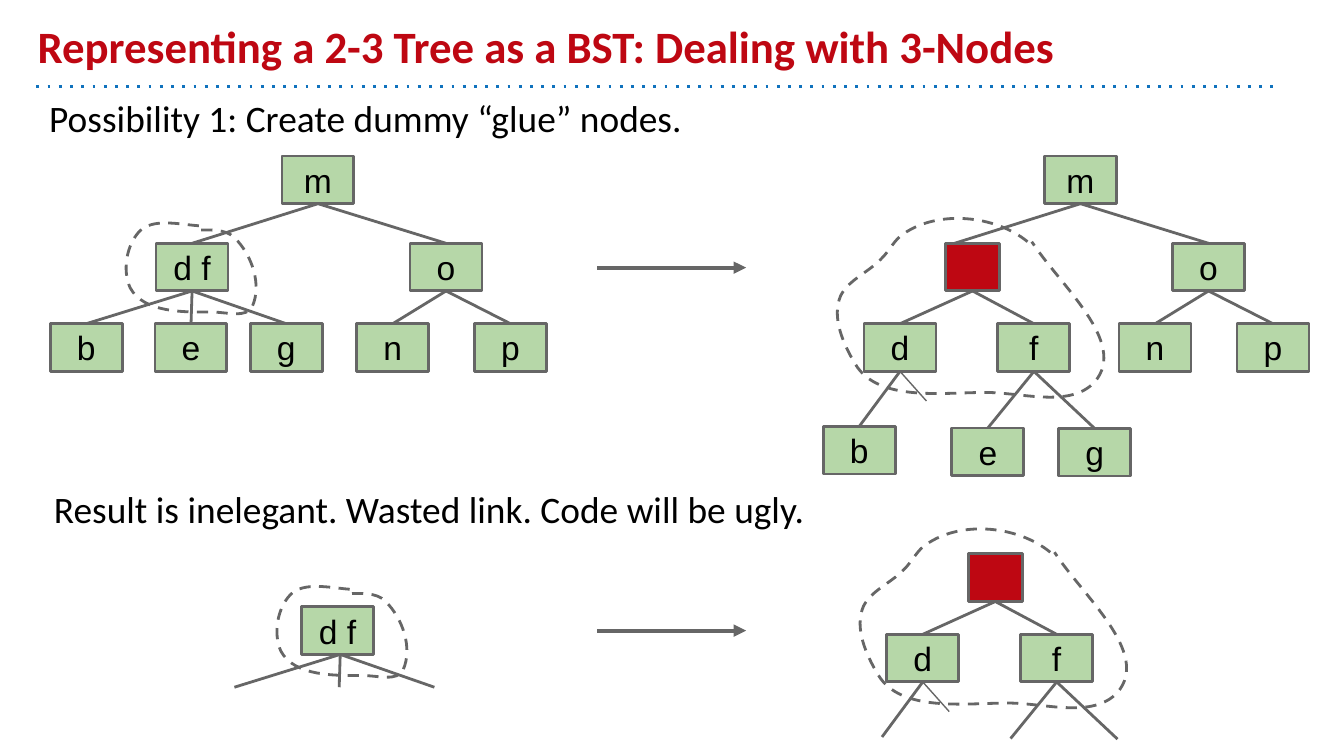
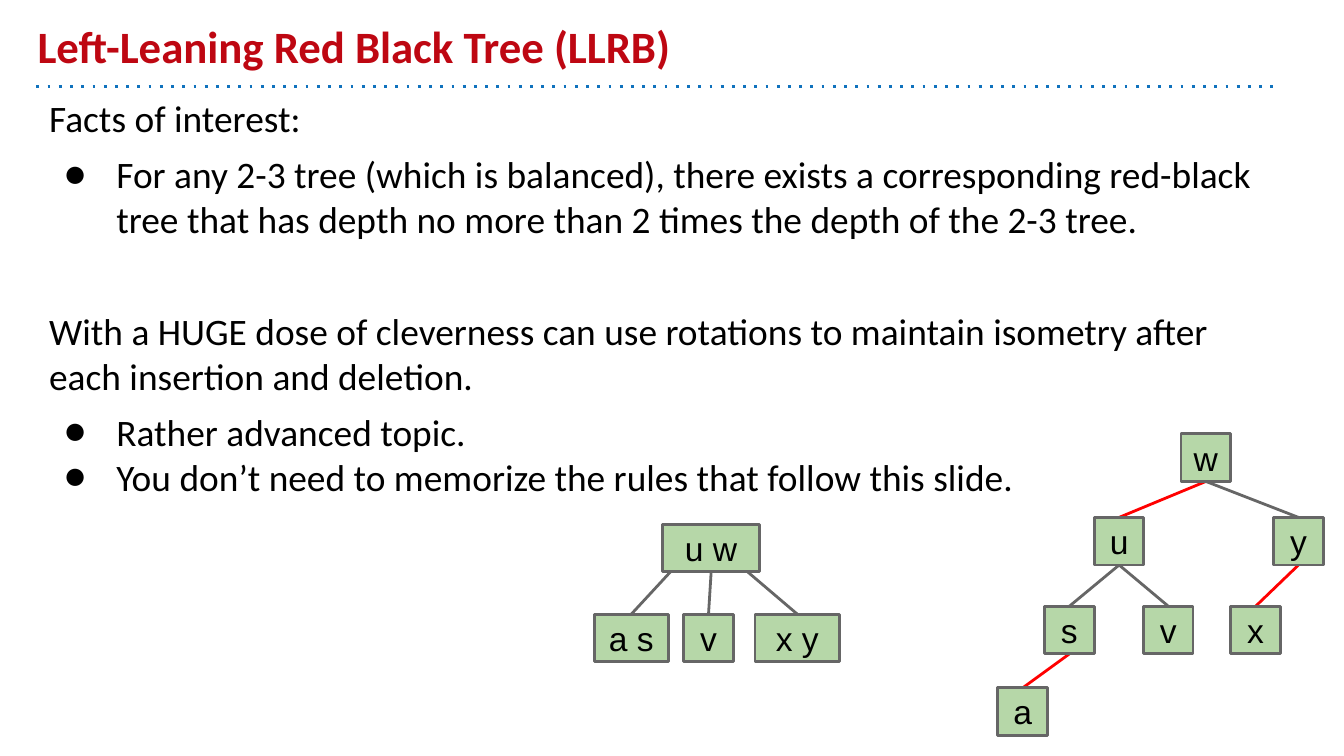
from lxml import etree
from pptx import Presentation
from pptx.dml.color import RGBColor
from pptx.enum import dml, shapes, text
from pptx.oxml import ns
from pptx.util import Cm, Pt

CRIMSON = RGBColor(0xBE, 0x07, 0x12)
BLUE = RGBColor(0x10, 0x72, 0xBD)
GREEN = RGBColor(0xB6, 0xD7, 0xA8)
GRAY = RGBColor(0x66, 0x66, 0x66)
RED = RGBColor(0xFF, 0, 0)
BLACK = RGBColor(0, 0, 0)

INSET = 0.25
HIGH = 0.9     # node height
WIDE = 1.36    # usual node width
SLIM = 0.94    # node width for one key
ROWS = 0, 1.65, 3.17

# Dashed outlines relative to the top centre of a node:
# left, top, right and bottom edge, then the points of the cubic curves
LOOP = (-1.24, -0.38, 1.22, 1.35), [
    (0.13, -0.33), (-0.25, -0.36), (-0.74, -0.48), (-0.99, -0.23),
    (-1.24, 0.03), (-1.32, 0.51), (-1.17, 0.84),
    (-0.91, 1.32), (-0.15, 1.3), (0.38, 1.3),
    (0.66, 1.3), (1.04, 1.42), (1.14, 1.19),
    (1.32, 0.79), (1.14, 0.23), (0.81, -0.1),
    (0.64, -0.28), (0.33, -0.25), (0.05, -0.25),
]
CLOUD = (-2.57, -0.48, 2.46, 2.9), [
    (1.04, -0.03), (0.43, -0.53), (-0.64, -0.64), (-1.3, -0.18),
    (-1.47, -0.08), (-1.57, 0.15), (-1.73, 0.3),
    (-1.98, 0.56), (-2.34, 0.69), (-2.49, 0.99),
    (-2.67, 1.4), (-2.44, 1.91), (-2.21, 2.29),
    (-1.78, 3), (-0.58, 2.82), (0.25, 2.82),
    (0.94, 2.82), (1.85, 3.12), (2.31, 2.62),
    (2.95, 1.88), (1.65, 0.79), (1.12, -0.03),
]


# Basic parts
def link(slide, start, end, color=GRAY, width=1.5, dash=None, arrow=False):
    line = slide.shapes.add_connector(
        shapes.MSO_CONNECTOR.STRAIGHT, *map(Cm, (*start, *end)))
    line.line.color.rgb = color
    line.line.width = Pt(width)
    props = line.element.spPr
    stroke = props.find(ns.qn("a:ln"))
    if dash:
        etree.SubElement(stroke, ns.qn("a:prstDash"), val=dash)
    if arrow:
        etree.SubElement(stroke, ns.qn("a:tailEnd"), type="triangle")
    etree.SubElement(props, ns.qn("a:effectLst"))


def pad(frame):
    frame.margin_left = frame.margin_right = Cm(INSET)
    frame.margin_top = frame.margin_bottom = Cm(INSET)


def style(font, size, name, color, bold=False):
    font.size, font.name, font.bold = Pt(size), name, bold
    font.color.rgb = color


def node(slide, mid, top, label="", wide=WIDE, fill=GREEN):
    box = slide.shapes.add_shape(
        shapes.MSO_SHAPE.RECTANGLE, Cm(mid - wide / 2), Cm(top), Cm(wide), Cm(HIGH))
    box.shadow.inherit = False
    box.fill.solid()
    box.fill.fore_color.rgb = fill
    box.line.color.rgb = GRAY
    box.line.width = Pt(1.5)
    if label:
        frame = box.text_frame
        pad(frame)
        frame.word_wrap = False
        frame.vertical_anchor = text.MSO_ANCHOR.MIDDLE
        frame.text = label
        para = frame.paragraphs[0]
        para.alignment = text.PP_ALIGN.CENTER
        style(para.runs[0].font, 18, "Arial", BLACK)


def outline(slide, mid, top, ring):
    (left, high, right, low), curve = ring
    pen = slide.shapes.build_freeform(Cm(mid + left), Cm(top + high))
    pen.add_line_segments([(Cm(mid + right), Cm(top + low))], close=False)
    shape = pen.convert_to_shape()
    # Fill the framed path with cubic curves
    trace = next(shape.element.iter(ns.qn("a:path")))
    for step in list(trace):
        trace.remove(step)
    step = etree.SubElement(trace, ns.qn("a:moveTo"))
    for i, (x, y) in enumerate(curve):
        if i % 3 == 1:
            step = etree.SubElement(trace, ns.qn("a:cubicBezTo"))
        etree.SubElement(step, ns.qn("a:pt"),
                         x=str(Cm(x - left)), y=str(Cm(y - high)))
    shape.shadow.inherit = False
    shape.fill.background()
    shape.line.color.rgb = GRAY
    shape.line.width = Pt(1.5)
    shape.line.dash_style = dml.MSO_LINE.DASH


def graph(slide, left, top, nodes, edges, hide="", reds=""):
    """Draw nodes {key: (mid, top, width)} and edges (parent, child, shift)."""
    for up, down, shift in edges:
        (x, y, _), (end, low, _) = nodes[up], nodes[down]
        link(slide, (left + x + shift, top + y + HIGH), (left + end, top + low),
             RED if down in reds else GRAY)
    for key, (x, y, wide) in nodes.items():
        if key not in hide:
            node(slide, left + x, top + y, key, wide)


def write(slide, left, top, width, height, items):
    """Write items of (text, space before, bulleted)."""
    box = slide.shapes.add_textbox(*map(Cm, (left, top, width, height)))
    frame = box.text_frame
    pad(frame)
    frame.word_wrap = True
    for i, (words, space, dotted) in enumerate(items):
        para = frame.paragraphs[0] if i == 0 else frame.add_paragraph()
        para.text = words
        para.space_before = Pt(space)
        if dotted:
            props = para._p.get_or_add_pPr()
            props.set("marL", str(Cm(1.27)))
            props.set("indent", str(Cm(-0.99)))
            tint = etree.SubElement(props, ns.qn("a:buClr"))
            etree.SubElement(tint, ns.qn("a:srgbClr"), val=str(BLACK))
            etree.SubElement(props, ns.qn("a:buSzPts"), val="2000")
            etree.SubElement(props, ns.qn("a:buFont"), typeface="Calibri")
            etree.SubElement(props, ns.qn("a:buChar"), char="●")
        style(para.runs[0].font, 20, "Calibri", BLACK)


def head(deck, words):
    slide = deck.slides.add_slide(deck.slide_layouts[5])
    link(slide, (0.69, 1.63), (24.12, 1.63), BLUE, dash="dot")
    title = slide.shapes.title
    title.left, title.top, title.width, title.height = map(
        Cm, (0.46, 0.25, 22.86, 1.37))
    frame = title.text_frame
    pad(frame)
    frame.word_wrap = True
    frame.auto_size = text.MSO_AUTO_SIZE.NONE
    frame.vertical_anchor = text.MSO_ANCHOR.BOTTOM
    frame.text = words
    para = frame.paragraphs[0]
    para.alignment = text.PP_ALIGN.LEFT
    style(para.runs[0].font, 24, "Calibri", CRIMSON, True)
    return slide


# Regions of the first slide
def crown(slide, left, top):
    """Root, its right subtree and the edge to its left child."""
    spots = {"m": (5.07, 0), "left": (2.69, 1), "o": (7.49, 1),
             "n": (6.48, 2), "p": (8.71, 2)}
    nodes = {key: (x, ROWS[row], WIDE) for key, (x, row) in spots.items()}
    edges = [("m", "left", 0), ("m", "o", 0), ("o", "n", 0), ("o", "p", 0)]
    graph(slide, left, top, nodes, edges, hide=["left"])


def triple(slide, mid, top, leaves=True, drift=0):
    """A 3-node with its three links; drift moves it off their centre."""
    low = ROWS[2] - ROWS[1]
    nodes = {"d f": (-drift, 0, WIDE), "b": (-2, low, WIDE),
             "e": (-0.02, low, WIDE), "g": (1.78, low, WIDE)}
    edges = [("d f", key, drift) for key in "beg"]
    graph(slide, mid, top, nodes, edges, hide="" if leaves else "beg")
    outline(slide, mid + drift, top, LOOP)


def glue(slide, mid, top, leaves=True):
    """A dummy node that joins two 2-nodes."""
    low = ROWS[2] - ROWS[1]
    nodes = {"d": (-1.37, low, WIDE), "f": (1.16, low, WIDE),
             "b": (-2.14, 3.46, WIDE), "e": (0.29, 3.49, WIDE),
             "g": (2.31, 3.5, WIDE)}
    edges = [("d", "b", 0), ("f", "e", 0), ("f", "g", 0)]
    graph(slide, mid, top, nodes, edges, hide="" if leaves else "beg")
    node(slide, mid, top, wide=1.02, fill=CRIMSON)
    for key in "df":
        link(slide, (mid, top + HIGH), (mid + nodes[key][0], top + low))
    # Wasted link
    x, y = mid + nodes["d"][0], top + low + HIGH
    link(slide, (x, y), (x + 0.5, y + 0.56), width=0.75)
    outline(slide, mid, top, CLOUD)


def dummy(deck):
    slide = head(deck, "Representing a 2-3 Tree as a BST: Dealing with 3-Nodes")
    write(slide, 0.68, 1.55, 23.44, 1.37,
          [("Possibility 1: Create dummy “glue” nodes.", 0, False)])
    for left in (0.94, 15.35):
        crown(slide, left, 2.95)
    triple(slide, 3.63, 4.6)
    glue(slide, 18.38, 4.6)
    write(slide, 0.77, 8.94, 23.44, 1.37,
          [("Result is inelegant. Wasted link. Code will be ugly.", 0, False)])
    triple(slide, 6.43, 11.47, leaves=False, drift=0.05)
    glue(slide, 18.81, 10.47, leaves=False)
    for y in (5.06, 11.92):
        link(slide, (11.29, y), (14.1, y), width=2.25, arrow=True)


# Regions of the second slide
def plain(slide, left, top):
    nodes = {"u w": (2.21, 0, 1.83), "a s": (0.7, 1.7, 1.4),
             "v": (2.16, 1.7, SLIM), "x y": (3.84, 1.7, 1.6)}
    edges = [("u w", "a s", -0.77), ("u w", "v", 0), ("u w", "x y", 0.69)]
    graph(slide, left, top, nodes, edges)


def leaning(slide, left, top):
    spots = {"w": (3.94, 0), "u": (2.3, 1.58), "y": (5.69, 1.58),
             "s": (1.36, 3.26), "v": (3.23, 3.26), "x": (4.88, 3.26),
             "a": (0.48, 4.8)}
    nodes = {key: (x, y, SLIM) for key, (x, y) in spots.items()}
    edges = [(up, down, 0) for up, down in ("wu", "wy", "us", "uv", "yx", "sa")]
    graph(slide, left, top, nodes, edges, reds="uxa")


def facts(deck):
    slide = head(deck, "Left-Leaning Red Black Tree (LLRB)")
    write(slide, 0.68, 1.55, 23.44, 11.13, [
        ("Facts of interest:", 0, False),
        ("For any 2-3 tree (which is balanced), there exists a corresponding "
         "red-black tree that has depth no more than 2 times the depth of the "
         "2-3 tree.", 6, True),
        ("With a HUGE dose of cleverness can use rotations to maintain "
         "isometry after each insertion and deletion.", 36, False),
        ("Rather advanced topic.", 6, True),
        ("You don’t need to memorize the rules that follow this slide.", 0, True),
    ])
    plain(slide, 11.23, 9.91)
    leaning(slide, 18.85, 8.2)


def main():
    deck = Presentation()
    deck.slide_width, deck.slide_height = Cm(25.4), Cm(14.29)
    dummy(deck)
    facts(deck)
    deck.save("out.pptx")


if __name__ == "__main__":
    main()
